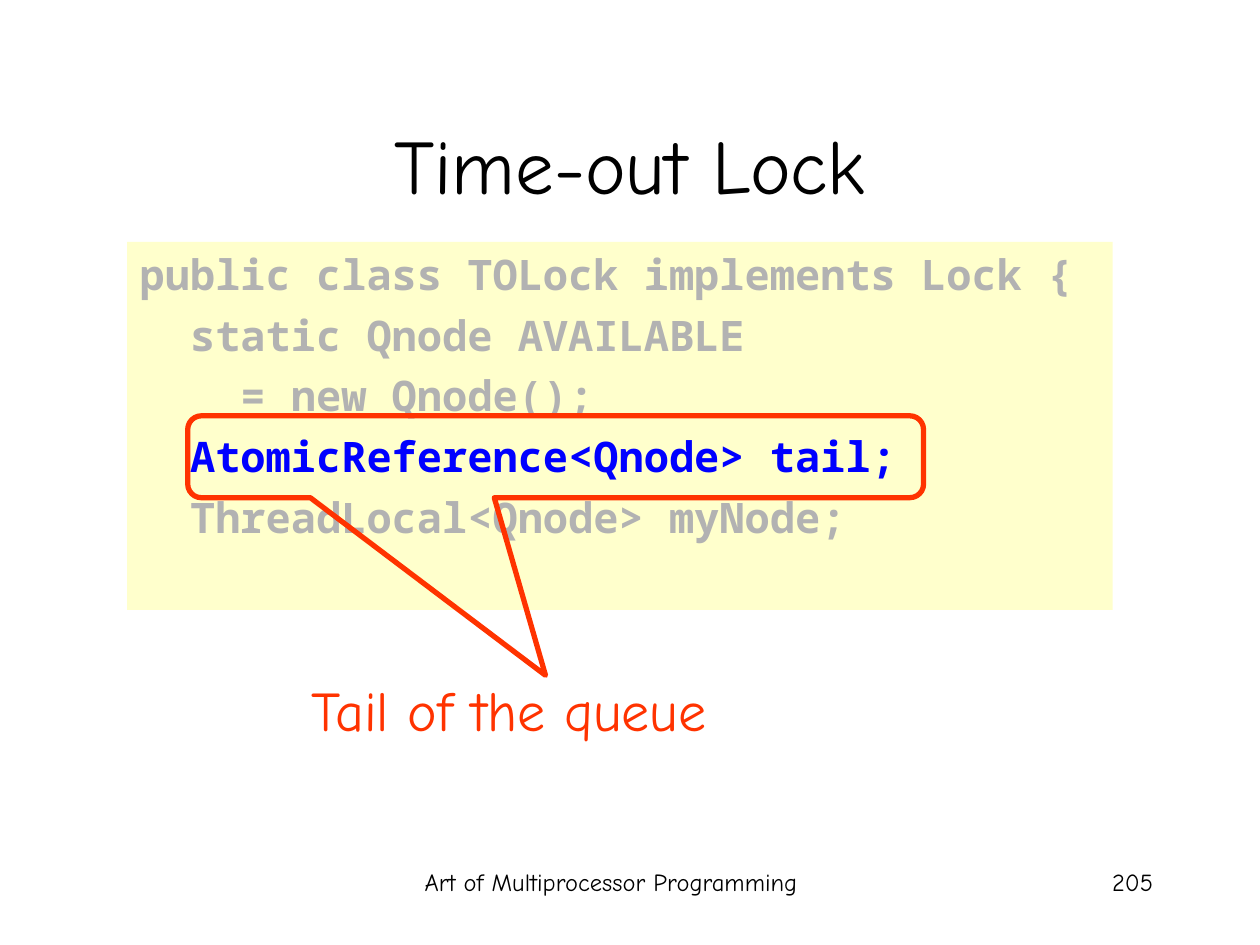
from dataclasses import dataclass

from pptx import Presentation
from pptx.dml.color import RGBColor
from pptx.enum.shapes import MSO_SHAPE
from pptx.enum.text import MSO_ANCHOR, PP_ALIGN
from pptx.util import Pt

RECT = MSO_SHAPE.RECTANGLE
CALLOUT = MSO_SHAPE.ROUNDED_RECTANGULAR_CALLOUT
TOP, MIDDLE = MSO_ANCHOR.TOP, MSO_ANCHOR.MIDDLE
LEFT, CENTER, RIGHT = PP_ALIGN.LEFT, PP_ALIGN.CENTER, PP_ALIGN.RIGHT
SCALE = 9144


@dataclass(frozen=True)
class Theme:
    """Colours, fonts and type sizes of the slide."""
    ink: str = "000000"
    paper: str = "FFFFCC"
    dim: str = "B2B2B2"
    key: str = "0000FF"
    mark: str = "FF3300"
    hand: str = "Comic Neue"
    mono: str = "Noto Sans Mono"
    title: int = 44
    note: int = 32
    code: int = 24
    foot: int = 14
    gap: int = 6
    line: int = 3


THEME = Theme()
CODE = [
    "public class TOLock implements Lock {",
    "  static Qnode AVAILABLE",
    "    = new Qnode();",
    "  AtomicReference<Qnode> tail;",
    "  ThreadLocal<Qnode> myNode;",
]
FOCUS = 3


def emu(box):
    """Turn px lengths into EMU."""
    return [n * SCALE for n in box]


def style(para, face, size, color, bold=False):
    """Set the font of every run in a paragraph."""
    for run in para.runs:
        font = run.font
        font.name, font.size, font.bold = face, Pt(size), bold
        font.color.rgb = RGBColor.from_string(color)


def label(slide, box, text, size, color, align=CENTER, anchor=TOP):
    """Place one line of text in a box."""
    frame = slide.shapes.add_textbox(*emu(box)).text_frame
    frame.word_wrap = True
    frame.vertical_anchor = anchor
    frame.text = text
    para = frame.paragraphs[0]
    para.alignment = align
    style(para, THEME.hand, size, color)


def panel(slide, box, lines, focus):
    """Place the code panel with one line in focus."""
    shape = slide.shapes.add_shape(RECT, *emu(box))
    shape.shadow.inherit = False
    shape.fill.solid()
    shape.fill.fore_color.rgb = RGBColor.from_string(THEME.paper)
    shape.line.fill.background()
    frame = shape.text_frame
    frame.word_wrap = True
    frame.vertical_anchor = TOP
    frame.text = "\n".join(lines)
    for i, para in enumerate(frame.paragraphs):
        para.alignment = LEFT
        para.space_before = Pt(THEME.gap if i else 0)
        color = THEME.key if i == focus else THEME.dim
        style(para, THEME.mono, THEME.code, color, True)


def callout(slide, box, tip):
    """Outline a box with a pointer to a tip measured from its corner."""
    shape = slide.shapes.add_shape(CALLOUT, *emu(box))
    shape.shadow.inherit = False
    shape.fill.background()
    shape.line.color.rgb = RGBColor.from_string(THEME.mark)
    shape.line.width = Pt(THEME.line)
    for i in range(2):
        shape.adjustments[i] = tip[i] / box[i + 2] - 0.5


def footer(slide, box, text, number):
    """Place the book title and the page number along a strip."""
    x, y, w, h = box
    label(slide, (x, y, 392, h), text, THEME.foot, THEME.ink)
    label(slide, (x + w - 208, y, 208, h), number, THEME.foot, THEME.ink, RIGHT)


def main():
    """Build and save the slide."""
    deck = Presentation()
    deck.slide_width, deck.slide_height = emu((1000, 750))
    slide = deck.slides.add_slide(deck.slide_layouts[6])
    footer(slide, (289, 683, 636, 50), "Art of Multiprocessor Programming", "205")
    label(slide, (75, 67, 850, 125), "Time-out Lock", THEME.title, THEME.ink,
          anchor=MIDDLE)
    panel(slide, (101, 192, 782, 292), CODE, FOCUS)
    label(slide, (128, 531, 552, 64), "Tail of the queue", THEME.note, THEME.mark)
    callout(slide, (149, 330, 584, 65), (284, 206))
    deck.save("out.pptx")


if __name__ == "__main__":
    main()
